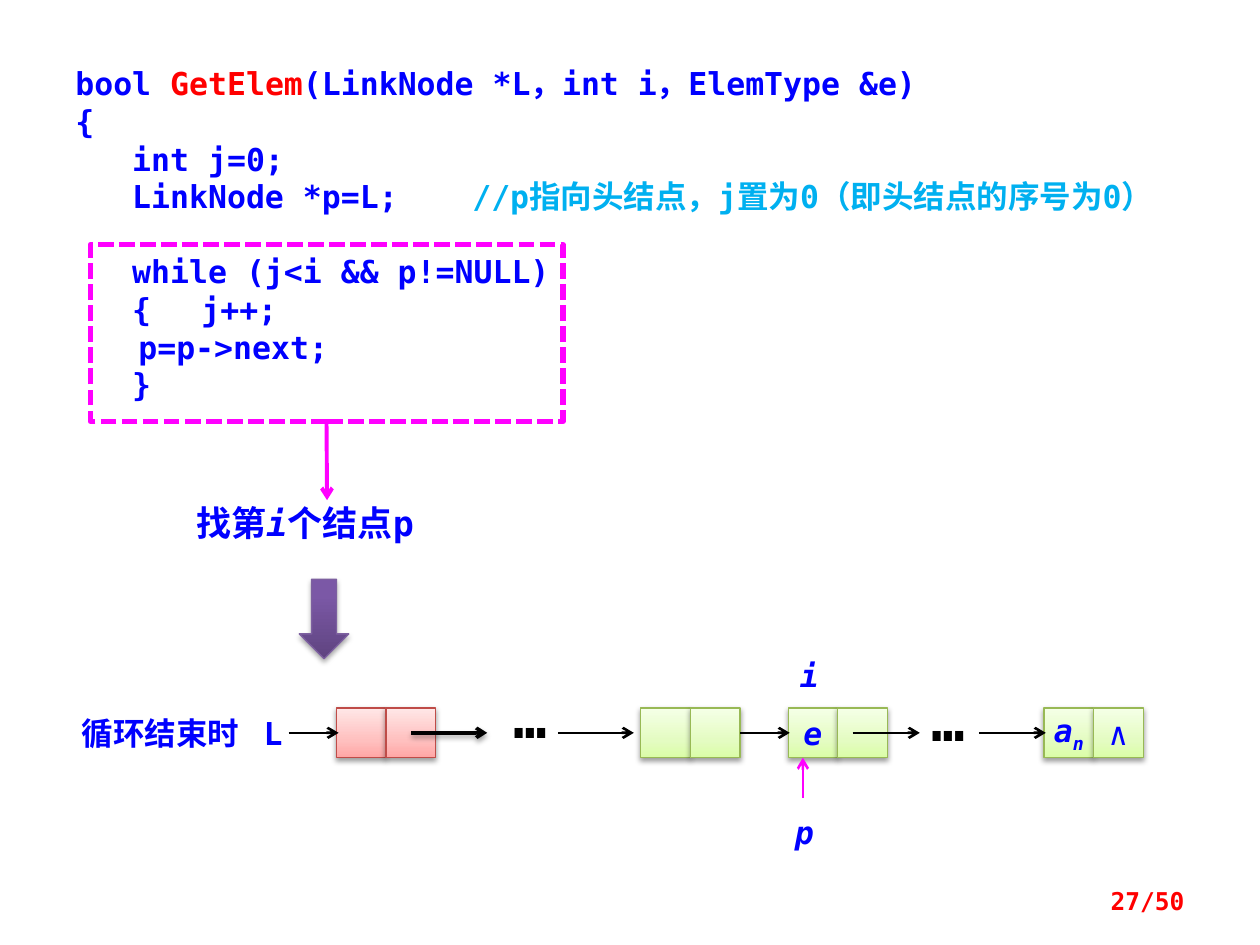
from copy import deepcopy

from lxml import etree
from pptx import Presentation
from pptx.dml.color import RGBColor
from pptx.enum.dml import MSO_LINE
from pptx.enum.shapes import MSO_CONNECTOR, MSO_SHAPE
from pptx.enum.text import MSO_ANCHOR, PP_ALIGN
from pptx.oxml.ns import qn
from pptx.util import Pt

RECTANGLE, DOWN_ARROW = MSO_SHAPE.RECTANGLE, MSO_SHAPE.DOWN_ARROW
STRAIGHT = MSO_CONNECTOR.STRAIGHT
DASHED = MSO_LINE.SQUARE_DOT
MIDDLE = MSO_ANCHOR.MIDDLE
LEFT, CENTER, RIGHT = PP_ALIGN.LEFT, PP_ALIGN.CENTER, PP_ALIGN.RIGHT

FONT = "DejaVu Sans Mono"
COLORS = {
    "white": "FFFFFF", "black": "000000", "code": "0000FF", "red": "FF0000",
    "comment": "00B0F0", "magenta": "FF00FF",
    "head_line": "BF4C48", "node_line": "98B955", "arrow_line": "7D60A0",
}
GRADIENTS = {
    "head": [(0, "FFA6A5"), (0.35, "FFC0BF"), (1, "FFE7E7")],
    "node": [(0, "DAFDA7"), (0.35, "E4FCC2"), (1, "F5FFE7")],
    "arrow": [(0, "5F4480"), (0.8, "7B58A6"), (1, "7C57A8")],
}

CELL = 28.35
LIST_TOP = 404.6
LIST_MIDDLE = LIST_TOP + CELL / 2

CODE = [
    ["bool ", ("GetElem", {"color": "red"}), "(LinkNode *L，int i，ElemType &e)"],
    ["{"],
    ["   int j=0;"],
    ["   LinkNode *p=L;\t ",
     ("//p指向头结点，j置为0（即头结点的序号为0）", {"color": "comment"})],
    ["   while (j<i && p!=NULL)"],
    ["   {\tj++;"],
    ["\tp=p->next;"],
    ["   }"],
]
LOOP_START = 4


def rgb(name):
    return RGBColor.from_string(COLORS[name])


def format_span(span, size=18, color="code", bold=True, italic=False, baseline=0):
    font = span.font
    font.name, font.size = FONT, Pt(size)
    font.bold, font.italic = bold, italic
    font.color.rgb = rgb(color)
    if baseline:
        span._r.get_or_add_rPr().set("baseline", str(baseline * 1000))


def write_text(shape, lines, align=LEFT, anchor=None, wrap=True, **style):
    """Fill a shape with lines of spans; a span is a string or (string, style changes)."""
    frame = shape.text_frame
    frame.word_wrap = wrap
    if anchor is not None:
        frame.vertical_anchor = anchor
    for index, line in enumerate(lines):
        para = frame.add_paragraph() if index else frame.paragraphs[0]
        para.alignment = align
        for item in line:
            text, changes = (item, {}) if isinstance(item, str) else item
            span = para.add_run()
            span.text = text
            format_span(span, **{**style, **changes})
    return frame


def add_text(page, left, top, width, height, lines, **style):
    box = page.shapes.add_textbox(Pt(left), Pt(top), Pt(width), Pt(height))
    write_text(box, lines, **style)
    return box


def add_shadow(shape, alpha=38, distance=1.6):
    effects = shape._element.spPr.find(qn("a:effectLst"))
    if effects is None:
        effects = etree.SubElement(shape._element.spPr, qn("a:effectLst"))
    shadow = etree.SubElement(
        effects, qn("a:outerShdw"), blurRad=str(Pt(3.1)), dist=str(Pt(distance)),
        dir="5400000", rotWithShape="0")
    color = etree.SubElement(shadow, qn("a:srgbClr"), val=COLORS["black"])
    etree.SubElement(color, qn("a:alpha"), val=str(alpha * 1000))


def fill_gradient(shape, name):
    shape.fill.gradient()
    shape.fill.gradient_angle = 90
    stop_list = shape._element.spPr.find(qn("a:gradFill")).find(qn("a:gsLst"))
    stop_list.append(deepcopy(stop_list[-1]))
    for stop, (position, color) in zip(shape.fill.gradient_stops, GRADIENTS[name]):
        stop.position = position
        stop.color.rgb = RGBColor.from_string(color)


def add_shape(page, kind, left, top, width, height, line, weight=0.75, gradient=None):
    shape = page.shapes.add_shape(kind, Pt(left), Pt(top), Pt(width), Pt(height))
    shape.shadow.inherit = False
    shape.line.color.rgb = rgb(line)
    shape.line.width = Pt(weight)
    if gradient:
        fill_gradient(shape, gradient)
    else:
        shape.fill.background()
    return shape


def add_arrow(page, x1, y1, x2, y2, color="black", weight=1.5, shadow=False):
    arrow = page.shapes.add_connector(STRAIGHT, Pt(x1), Pt(y1), Pt(x2), Pt(y2))
    arrow.line.color.rgb = rgb(color)
    arrow.line.width = Pt(weight)
    etree.SubElement(arrow.line._get_or_add_ln(), qn("a:tailEnd"), type="arrow")
    etree.SubElement(arrow._element.spPr, qn("a:effectLst"))
    if shadow:
        add_shadow(arrow)


def add_node(page, left, kind="node", data=None, link=None):
    """Draw a list node: a data cell and a link cell side by side."""
    for column, spans in enumerate((data, link)):
        cell = add_shape(page, RECTANGLE, left + column * CELL, LIST_TOP, CELL, CELL,
                         f"{kind}_line", gradient=kind)
        add_shadow(cell)
        if spans:
            write_text(cell, [spans], align=CENTER, anchor=MIDDLE, wrap=False)


def add_code(page):
    box = add_text(page, 36, 33, 667.5, 225.5, CODE)
    box.fill.solid()
    box.fill.fore_color.rgb = rgb("white")
    box.text_frame.paragraphs[LOOP_START].space_before = Pt(21)


def add_loop_note(page):
    add_text(page, 105.1, 283, 163.5, 31.5,
             [["找第", ("i", {"italic": True}), "个结点p"]], size=20)
    frame = add_shape(page, RECTANGLE, 51.7, 139.7, 270, 101.2, "magenta", weight=3)
    frame.line.dash_style = DASHED
    add_arrow(page, 186.6, 240.9, 186.9, 285.8, "magenta", 2.25)
    block = add_shape(page, DOWN_ARROW, 171, 331, CELL, 45.4, "arrow_line",
                      gradient="arrow")
    add_shadow(block, alpha=35, distance=1.8)


def add_linked_list(page):
    italic = {"italic": True}
    add_text(page, 39.6, LIST_TOP, 118.8, 29, [["循环结束时"]])
    add_text(page, 143.5, LIST_TOP, 21, 29, [["L"]])
    add_node(page, 192.2, "head")
    add_node(page, 366.2)
    add_node(page, 450.4, data=[("e", italic)])
    add_node(page, 596.6, data=[("a", italic), ("n", {"italic": True, "baseline": -25})],
             link=[("∧", {"bold": False})])

    for start, end in ((165, 193.5), (318.8, 362.2), (422.9, 451.3),
                       (487.2, 525.6), (559.4, 597.6)):
        add_arrow(page, start, LIST_MIDDLE, end, LIST_MIDDLE)
    add_arrow(page, 235, LIST_MIDDLE, 278.4, LIST_MIDDLE, weight=2, shadow=True)
    for left, top in ((286.6, 386.6), (525.4, 388)):
        add_text(page, left, top, 56.7, 45.4, [["…"]], size=32, color="black")

    for letter, left, top in (("i", 450, 371.6), ("p", 447.2, 461)):
        add_text(page, left, top, CELL, 29, [[letter]], italic=True)
    add_arrow(page, 458.8, 455.8, 458.8, LIST_TOP + CELL, "magenta")


def main():
    deck = Presentation()
    deck.slide_width, deck.slide_height = Pt(720), Pt(540)
    page = deck.slides.add_slide(deck.slide_layouts[6])
    add_code(page)
    add_loop_note(page)
    add_linked_list(page)
    add_text(page, 516, 500.5, 168, 28.75, [["27/50"]], size=14, color="red",
             align=RIGHT, anchor=MIDDLE)
    deck.save("out.pptx")


if __name__ == "__main__":
    main()
